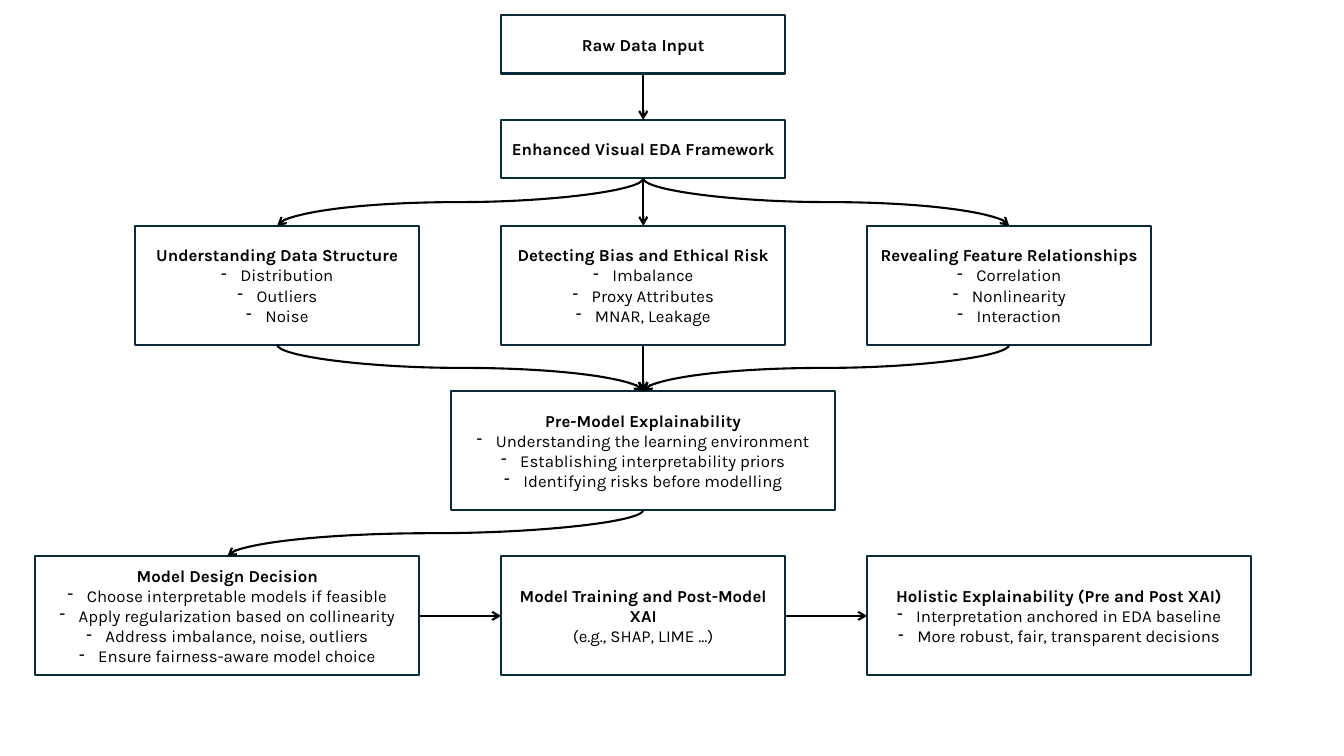
import pptx
import pptx.util
import pptx.dml.color
import pptx.enum.shapes
import pptx.enum.text
import pptx.oxml.ns
import lxml.etree

Inches = pptx.util.Inches
Color = pptx.dml.color.RGBColor.from_string
Kind = pptx.enum.shapes.MSO_CONNECTOR
qn = pptx.oxml.ns.qn

NARROW, WIDE = 2.82, 3.81
SHORT, TALL = 0.58, 1.18
CENTRE, STEP = 6.38, 3.63
TOPS = (0.15, 1.19, 2.24, 3.88, 5.52)
BOTTOM, TOP, LEFT, RIGHT = 2, 0, 1, 3

BOXES = {
    "raw": (0, 0, NARROW, SHORT, "Raw Data Input", "", []),
    "eda": (1, 0, NARROW, SHORT, "Enhanced Visual EDA Framework", "", []),
    "data": (2, -1, NARROW, TALL, "Understanding Data Structure", "-",
             ["Distribution", "Outliers", "Noise"]),
    "bias": (2, 0, NARROW, TALL, "Detecting Bias and Ethical Risk", "-",
             ["Imbalance", "Proxy Attributes", "MNAR, Leakage"]),
    "feature": (2, 1, NARROW, TALL, "Revealing Feature Relationships", "-",
                ["Correlation", "Nonlinearity", "Interaction"]),
    "prior": (3, 0, WIDE, TALL, "Pre-Model Explainability", "-",
              ["Understanding the learning environment",
               "Establishing interpretability priors",
               "Identifying risks before modelling"]),
    "design": (4, -1, WIDE, TALL, "Model Design Decision", "-",
               ["Choose interpretable models if feasible",
                "Apply regularization based on collinearity",
                "Address imbalance, noise, outliers",
                "Ensure fairness-aware model choice"]),
    "train": (4, 0, NARROW, TALL, "Model Training and Post-Model XAI", "",
              ["(e.g., SHAP, LIME …)"]),
    "whole": (4, 1, WIDE, TALL, "Holistic Explainability (Pre and Post XAI)", "-",
              ["Interpretation anchored in EDA baseline",
               "More robust, fair, transparent decisions"]),
}

LINKS = [
    ("raw", BOTTOM, "eda", TOP),
    ("eda", BOTTOM, "feature", TOP),
    ("eda", BOTTOM, "data", TOP),
    ("data", BOTTOM, "prior", TOP),
    ("feature", BOTTOM, "prior", TOP),
    ("bias", BOTTOM, "prior", TOP),
    ("prior", BOTTOM, "design", TOP),
    ("design", RIGHT, "train", LEFT),
    ("train", RIGHT, "whole", LEFT),
    ("eda", BOTTOM, "bias", TOP),
]


class Theme:
    font = "Karla"
    size = pptx.util.Pt(12)
    width = pptx.util.Pt(1.5)
    fill = Color("FFFFFF")
    edge = Color("092A39")
    ink = Color("000000")


def add_line(frame, index, text, bold, mark):
    para = frame.paragraphs[0] if index == 0 else frame.add_paragraph()
    para.alignment = pptx.enum.text.PP_ALIGN.CENTER
    run = para.add_run()
    run.text = text
    run.font.name = Theme.font
    run.font.size = Theme.size
    run.font.bold = bold
    run.font.color.rgb = Theme.ink
    if mark:
        props = para._p.get_or_add_pPr()
        props.set("marL", str(Inches(0.19)))
        props.set("indent", str(-Inches(0.19)))
        lxml.etree.SubElement(props, qn("a:buFontTx"))
        lxml.etree.SubElement(props, qn("a:buChar")).set("char", mark)


def add_box(slide, row, col, width, height, head, mark, items):
    left = CENTRE + col * STEP - width / 2 + col * (width - NARROW) / 2
    box = slide.shapes.add_shape(
        pptx.enum.shapes.MSO_SHAPE.RECTANGLE,
        Inches(left), Inches(TOPS[row]), Inches(width), Inches(height))
    box.shadow.inherit = False
    box.fill.solid()
    box.fill.fore_color.rgb = Theme.fill
    box.line.color.rgb = Theme.edge
    box.line.width = Theme.width
    frame = box.text_frame
    frame.word_wrap = True
    frame.vertical_anchor = pptx.enum.text.MSO_ANCHOR.MIDDLE
    add_line(frame, 0, head, True, "")
    for index, item in enumerate(items, 1):
        add_line(frame, index, item, False, mark)
    return box


def turn(link):
    x1, y1, x2, y2 = link.begin_x, link.begin_y, link.end_x, link.end_y
    wide, high = abs(x2 - x1), y2 - y1
    link.left = (x1 + x2 - high) // 2
    link.top = (y1 + y2 - wide) // 2
    link.width, link.height = high, wide
    frame = link._element.spPr.find(qn("a:xfrm"))
    right = x2 > x1
    frame.set("rot", str((270 if right else 90) * 60000))
    frame.set("flipH", "1" if right else "0")


def add_link(slide, start, exit, end, entry):
    bent = exit == BOTTOM and abs(
        start.left + start.width / 2 - end.left - end.width / 2) > Inches(0.1)
    link = slide.shapes.add_connector(Kind.CURVE if bent else Kind.STRAIGHT, 0, 0, 0, 0)
    link.begin_connect(start, exit)
    link.end_connect(end, entry)
    if bent:
        turn(link)
    link.line.color.rgb = Theme.ink
    link.line.width = Theme.width
    edge = link.line._get_or_add_ln()
    lxml.etree.SubElement(edge, qn("a:tailEnd")).set("type", "arrow")
    lxml.etree.SubElement(link._element.spPr, qn("a:effectLst"))


def main():
    deck = pptx.Presentation()
    deck.slide_width, deck.slide_height = Inches(13.33), Inches(7.5)
    slide = deck.slides.add_slide(deck.slide_layouts[6])
    boxes = {name: add_box(slide, *data) for name, data in BOXES.items()}
    for start, exit, end, entry in LINKS:
        add_link(slide, boxes[start], exit, boxes[end], entry)
    deck.save("out.pptx")


if __name__ == "__main__":
    main()
